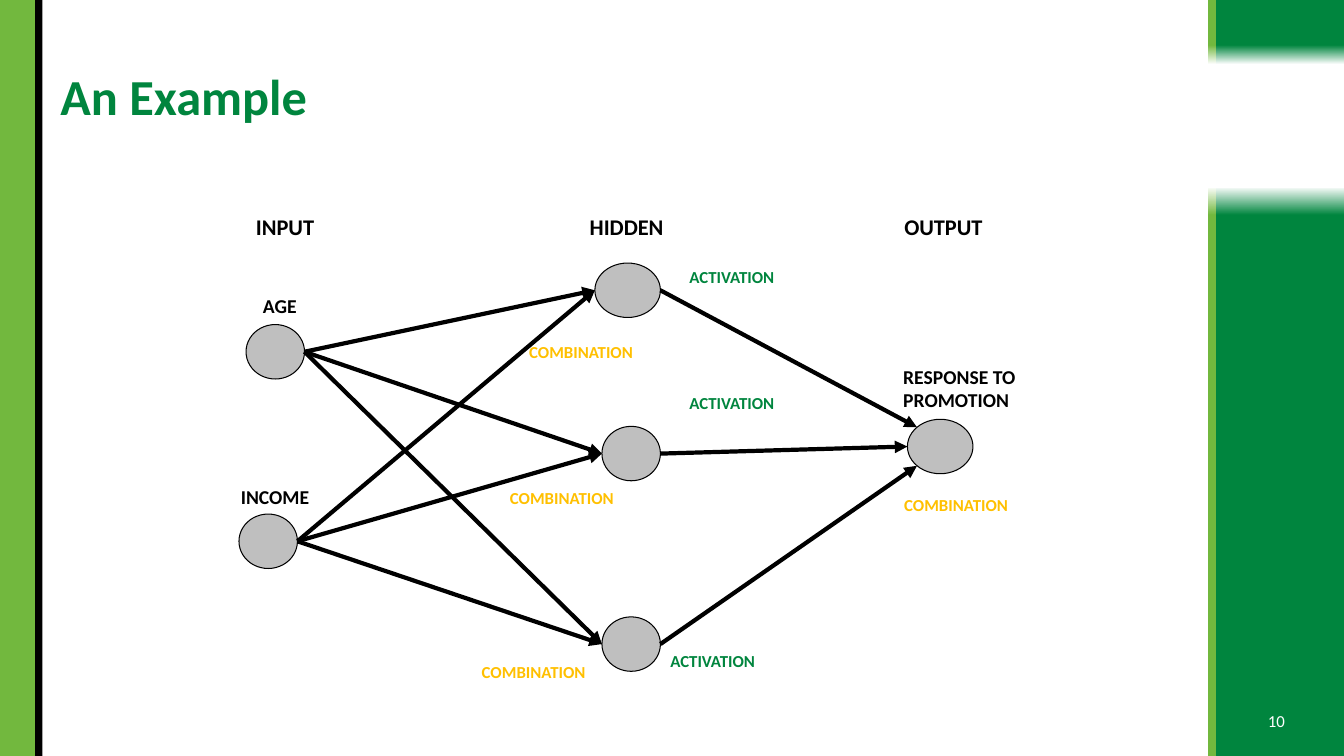
import math
from dataclasses import dataclass

import pptx
import pptx.util
import pptx.dml.color
import pptx.enum.shapes
import pptx.enum.text
import pptx.oxml
import pptx.oxml.ns
from pptx.dml.color import RGBColor
from pptx.util import Inches

GREEN = RGBColor(0x00, 0x85, 0x3E)
LIME = RGBColor(0x72, 0xB8, 0x3E)
AMBER = RGBColor(0xFF, 0xC0, 0x00)
GRAY = RGBColor(0xBF, 0xBF, 0xBF)
BLACK = RGBColor(0x00, 0x00, 0x00)
WHITE = RGBColor(0xFF, 0xFF, 0xFF)

FONT = "Calibri"
SLIDE_WIDTH, SLIDE_HEIGHT = 13.33, 7.5
NODE_HEIGHT = 0.54


@dataclass(frozen=True)
class Band:
    left: float
    top: float
    width: float
    height: float
    color: RGBColor
    solid_percent: int = 100  # below 100 the band fades to white
    rotation: int = 0


@dataclass(frozen=True)
class Node:
    left: float
    top: float
    width: float = 0.58

    def rim(self, degrees: float) -> tuple[float, float]:
        """Point on the outline, clockwise from the right-hand side."""
        angle = math.radians(degrees)
        return (self.left + self.width / 2 * (1 + math.cos(angle)),
                self.top + NODE_HEIGHT / 2 * (1 + math.sin(angle)))


@dataclass(frozen=True)
class Label:
    text: str
    left: float
    top: float
    width: float
    height: float
    size: int
    color: RGBColor = BLACK
    wraps: bool = True


BANDS = [
    Band(0, 0, 0.35, SLIDE_HEIGHT, LIME),
    Band(0.35, 0, 0.07, SLIDE_HEIGHT, BLACK),
]
for band_left, band_width, band_color in [(12.06, 1.27, GREEN), (11.98, 0.08, LIME)]:
    BANDS += [
        Band(band_left, 0, band_width, 0.64, band_color, 70),
        Band(band_left, 1.85, band_width, 5.65, band_color, 95, 180),
    ]

INPUTS = [Node(2.44, 3.22), Node(2.37, 5.1)]
HIDDEN = [Node(5.9, 2.61, 0.65), Node(5.97, 4.23), Node(5.97, 6.12)]
OUTPUT = Node(9, 4.16, 0.65)
OUTPUT_ANGLES = [225, 180, 135]

LABELS = [
    Label("INPUT", 2.44, 2.07, 1.08, 0.37, 16),
    Label("HIDDEN", 5.75, 2.07, 1.22, 0.37, 16),
    Label("OUTPUT", 8.87, 2.07, 1.19, 0.37, 16),
    Label("AGE", 2.51, 2.87, 1.01, 0.33, 14),
    Label("INCOME", 2.29, 4.76, 1.51, 0.33, 14),
    Label("RESPONSE TO PROMOTION", 8.86, 3.57, 2.21, 0.57, 14),
    Label("COMBINATION", 5.15, 3.34, 1.25, 0.3, 12, AMBER),
    Label("COMBINATION", 4.96, 4.79, 1.24, 0.3, 12, AMBER, False),
    Label("COMBINATION", 4.68, 6.52, 1.24, 0.3, 12, AMBER, False),
    Label("COMBINATION", 8.87, 4.86, 1.24, 0.3, 12, AMBER, False),
    Label("ACTIVATION", 6.74, 2.6, 1.8, 0.3, 12, GREEN),
    Label("ACTIVATION", 6.74, 3.85, 1.44, 0.3, 12, GREEN),
    Label("ACTIVATION", 6.55, 6.41, 1.06, 0.3, 12, GREEN, False),
]


def format_font(paragraph, size: int, color: RGBColor, bold: bool = True) -> None:
    paragraph.font.name = FONT
    paragraph.font.size = pptx.util.Pt(size)
    paragraph.font.bold = bold
    paragraph.font.color.rgb = color


def draw_band(slide, band: Band) -> None:
    shape = slide.shapes.add_shape(
        pptx.enum.shapes.MSO_SHAPE.RECTANGLE,
        Inches(band.left), Inches(band.top), Inches(band.width), Inches(band.height))
    shape.shadow.inherit = False
    shape.rotation = band.rotation
    shape.line.fill.background()
    if band.solid_percent == 100:
        shape.fill.solid()
        shape.fill.fore_color.rgb = band.color
        return
    shape.fill.gradient()
    shape.fill.gradient_angle = 270
    start, end = shape.fill.gradient_stops
    start.color.rgb, start.position = band.color, band.solid_percent / 100
    end.color.rgb, end.position = WHITE, 1


def draw_node(slide, node: Node) -> None:
    shape = slide.shapes.add_shape(
        pptx.enum.shapes.MSO_SHAPE.OVAL,
        Inches(node.left), Inches(node.top), Inches(node.width), Inches(NODE_HEIGHT))
    shape.shadow.inherit = False
    shape.fill.solid()
    shape.fill.fore_color.rgb = GRAY
    shape.line.color.rgb = BLACK
    shape.line.width = pptx.util.Pt(0.75)


def draw_arrow(slide, start: tuple[float, float], end: tuple[float, float]) -> None:
    connector = slide.shapes.add_connector(
        pptx.enum.shapes.MSO_CONNECTOR.STRAIGHT,
        *(Inches(value) for value in start + end))
    connector.line.color.rgb = BLACK
    connector.line.width = pptx.util.Pt(3)
    namespace = pptx.oxml.ns.nsdecls("a")
    line = connector.line._get_or_add_ln()
    line.append(pptx.oxml.parse_xml(f'<a:tailEnd {namespace} type="triangle"/>'))
    properties = connector._element.spPr
    properties.append(pptx.oxml.parse_xml(f"<a:effectLst {namespace}/>"))


def draw_label(slide, label: Label) -> None:
    box = slide.shapes.add_textbox(
        Inches(label.left), Inches(label.top), Inches(label.width), Inches(label.height))
    box.text_frame.word_wrap = label.wraps
    box.text_frame.auto_size = pptx.enum.text.MSO_AUTO_SIZE.SHAPE_TO_FIT_TEXT
    paragraph = box.text_frame.paragraphs[0]
    paragraph.text = label.text
    format_font(paragraph, label.size, label.color)


def draw_title(slide) -> None:
    title = slide.shapes.title
    title.left, title.top = Inches(0.5), Inches(0.4)
    title.width, title.height = Inches(11.4), Inches(1.16)
    title.text_frame.word_wrap = True
    title.text_frame.auto_size = pptx.enum.text.MSO_AUTO_SIZE.NONE
    title.text_frame.vertical_anchor = pptx.enum.text.MSO_ANCHOR.MIDDLE
    paragraph = title.text_frame.paragraphs[0]
    paragraph.text = "An Example"
    paragraph.alignment = pptx.enum.text.PP_ALIGN.LEFT
    paragraph.line_spacing = 0.9
    format_font(paragraph, 36, GREEN)


def draw_page_number(slide) -> None:
    box = slide.shapes.add_textbox(Inches(12.4), Inches(6.95), Inches(0.52), Inches(0.4))
    box.text_frame.word_wrap = True
    box.text_frame.vertical_anchor = pptx.enum.text.MSO_ANCHOR.MIDDLE
    paragraph = box.text_frame.paragraphs[0]
    paragraph.text = "10"
    paragraph.alignment = pptx.enum.text.PP_ALIGN.CENTER
    format_font(paragraph, 12, WHITE, bold=False)


def main() -> None:
    presentation = pptx.Presentation()
    presentation.slide_width = Inches(SLIDE_WIDTH)
    presentation.slide_height = Inches(SLIDE_HEIGHT)
    slide = presentation.slides.add_slide(presentation.slide_layouts[5])

    # Frame, title and page number
    for band in BANDS:
        draw_band(slide, band)
    draw_title(slide)
    draw_page_number(slide)

    # Network
    for node in [*INPUTS, *HIDDEN, OUTPUT]:
        draw_node(slide, node)
    for hidden, angle in zip(HIDDEN, OUTPUT_ANGLES):
        draw_arrow(slide, hidden.rim(0), OUTPUT.rim(angle))
        for source in INPUTS:
            draw_arrow(slide, source.rim(0), hidden.rim(180))

    # Labels
    for label in LABELS:
        draw_label(slide, label)

    presentation.save("out.pptx")


if __name__ == "__main__":
    main()
